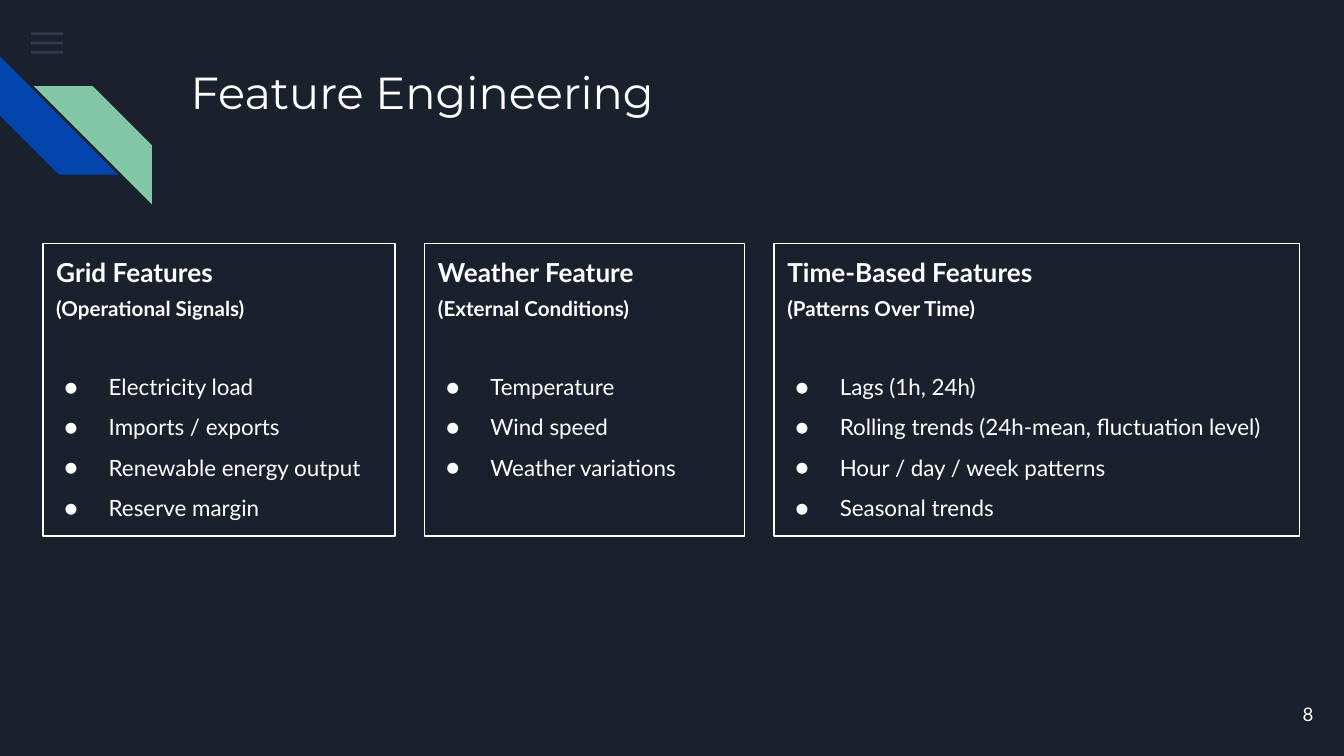
import pptx
import pptx.dml.color
import pptx.enum.shapes
import pptx.enum.text
import pptx.oxml
import pptx.oxml.ns
import pptx.util
from lxml import etree

Inches = pptx.util.Inches
Pt = pptx.util.Pt
SHAPE = pptx.enum.shapes.MSO_SHAPE
ANCHOR = pptx.enum.text.MSO_ANCHOR
ALIGN = pptx.enum.text.PP_ALIGN

BACKGROUND, WHITE = "1B212C", "FFFFFF"
MENU, BLUE, GREEN = "55688B", "0145AC", "82C7A5"
BODY_FONT, TITLE_FONT = "Lato", "Montserrat"

CARD_LEFT, CARD_TOP, CARD_HEIGHT, CARD_GAP = 0.32, 1.81, 2.18, 0.22
CARDS = [
    (2.62, "Grid Features", "(Operational Signals)",
     ["Electricity load", "Imports / exports",
      "Renewable energy output", "Reserve margin"]),
    (2.38, "Weather Feature", "(External Conditions)",
     ["Temperature", "Wind speed", "Weather variations"]),
    (3.91, "Time-Based Features", "(Patterns Over Time)",
     ["Lags (1h, 24h)", "Rolling trends (24h-mean, fluctuation level)",
      "Hour / day / week patterns", "Seasonal trends"]),
]


def rgb(color):
    return pptx.dml.color.RGBColor.from_string(color)


def qn(tag):
    return pptx.oxml.ns.qn(tag)


def add_shape(s, kind, left, top, width, height, color):
    sp = s.shapes.add_shape(kind, Inches(left), Inches(top),
                            Inches(width), Inches(height))
    sp.shadow.inherit = False
    sp.fill.solid()
    sp.fill.fore_color.rgb = rgb(color)
    sp.line.fill.background()
    return sp


def set_opacity(sp, percent):
    clr = sp.element.spPr.find(qn("a:solidFill")).find(qn("a:srgbClr"))
    etree.SubElement(clr, qn("a:alpha"), val=str(percent * 1000))


def prepare_frame(tf, anchor):
    tf.word_wrap = True
    tf.vertical_anchor = anchor
    tf.margin_left = tf.margin_right = Inches(0.1)
    tf.margin_top = tf.margin_bottom = Inches(0.1)


def add_run(p, text, size, font=BODY_FONT, bold=False):
    r = p.add_run()
    r.text = text
    r.font.name = font
    r.font.size = Pt(size)
    r.font.bold = bold
    r.font.color.rgb = rgb(WHITE)


def add_text(s, text, left, top, width, height, size, font,
             anchor=ANCHOR.TOP, align=ALIGN.LEFT):
    tf = s.shapes.add_textbox(Inches(left), Inches(top),
                              Inches(width), Inches(height)).text_frame
    prepare_frame(tf, anchor)
    p = tf.paragraphs[0]
    p.alignment = align
    add_run(p, text, size, font)


def set_bullet(p):
    pPr = p._p.get_or_add_pPr()
    pPr.set("marL", str(Inches(0.39)))
    pPr.set("indent", str(Inches(-0.33)))
    color = etree.SubElement(pPr, qn("a:buClr"))
    etree.SubElement(color, qn("a:srgbClr"), val=WHITE)
    etree.SubElement(pPr, qn("a:buFont"), typeface=BODY_FONT)
    etree.SubElement(pPr, qn("a:buChar"), char="●")


def add_card(s, left, width, heading, subtitle, items):
    sp = add_shape(s, SHAPE.RECTANGLE, left, CARD_TOP, width, CARD_HEIGHT,
                   BACKGROUND)
    sp.line.color.rgb = rgb(WHITE)
    sp.line.width = Pt(0.75)
    tf = sp.text_frame
    prepare_frame(tf, ANCHOR.TOP)
    p = tf.paragraphs[0]
    p.alignment = ALIGN.LEFT
    add_run(p, heading, 14, bold=True)
    p = tf.add_paragraph()
    p.alignment = ALIGN.LEFT
    p.space_before = Pt(4)
    add_run(p, subtitle, 11, bold=True)
    for i, item in enumerate(items):
        p = tf.add_paragraph()
        p.alignment = ALIGN.LEFT
        p.line_spacing = 1.5
        p.space_before = Pt(0 if i else 21.2)
        set_bullet(p)
        add_run(p, item, 12)


def add_menu_icon(s):
    for i in range(3):
        bar = add_shape(s, SHAPE.RECTANGLE, 0.23, 0.24 + 0.07 * i,
                        0.24, 0.02, MENU)
        set_opacity(bar, 36)


def add_stripe(s, left, top, color, rotation):
    sp = add_shape(s, SHAPE.DIAGONAL_STRIPE, left, top, 0.88, 0.88, color)
    sp.adjustments[0] = 0.5
    sp.rotation = rotation


def main():
    prs = pptx.Presentation()
    prs.slide_width = Inches(10)
    prs.slide_height = Inches(10 * 9 / 16)
    s = prs.slides.add_slide(prs.slide_layouts[6])
    s.background.fill.solid()
    s.background.fill.fore_color.rgb = rgb(BACKGROUND)

    add_menu_icon(s)
    add_stripe(s, 0, 0.42, BLUE, 270)
    add_stripe(s, 0.25, 0.64, GREEN, 90)
    add_text(s, "8", 9.27, 5.1, 0.6, 0.43, 10, BODY_FONT,
             ANCHOR.MIDDLE, ALIGN.RIGHT)
    add_text(s, "Feature Engineering", 1.32, 0.38, 7.7, 0.7, 24, TITLE_FONT)

    left = CARD_LEFT
    for width, heading, subtitle, items in CARDS:
        add_card(s, left, width, heading, subtitle, items)
        left += width + CARD_GAP

    prs.save("out.pptx")


if __name__ == "__main__":
    main()
